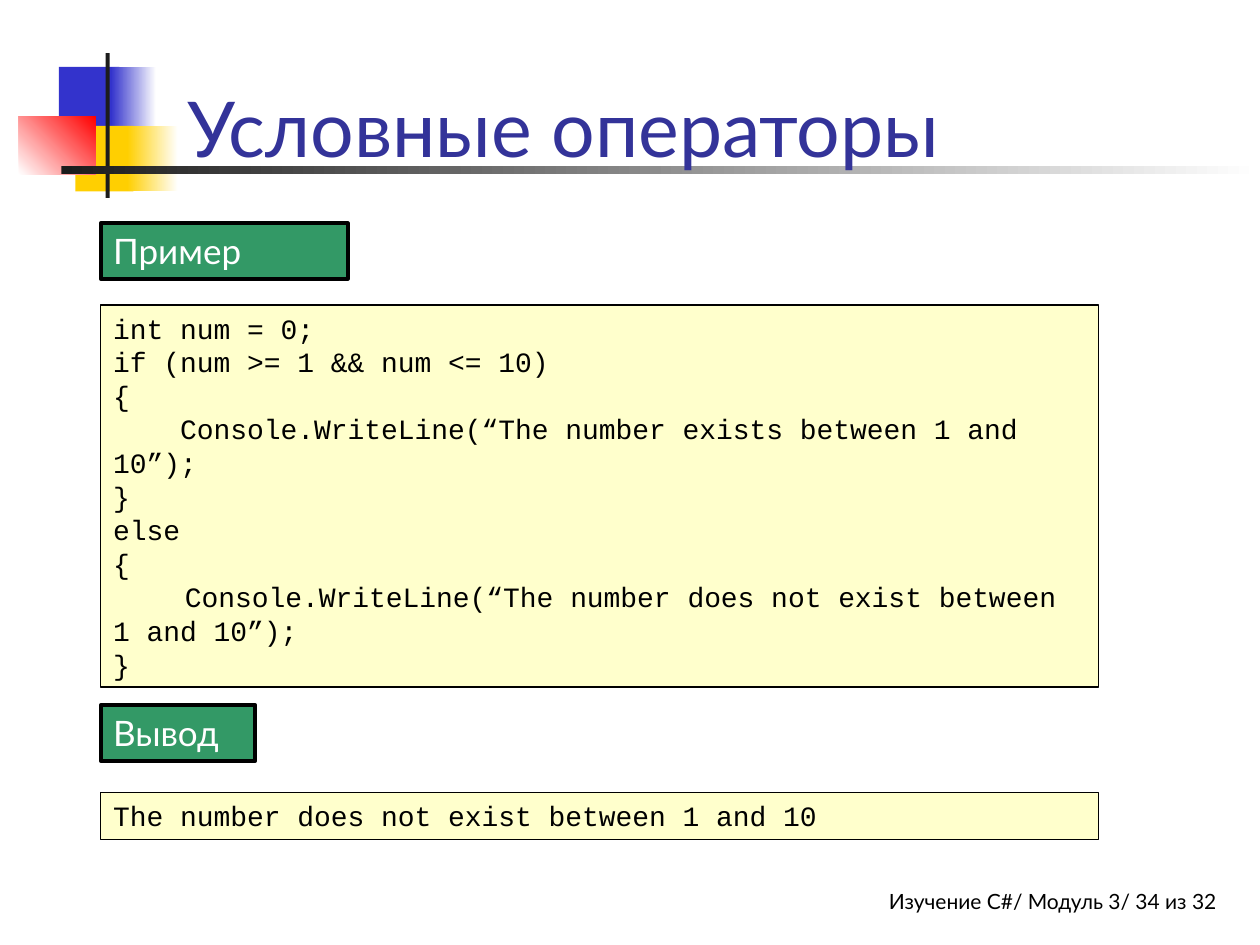
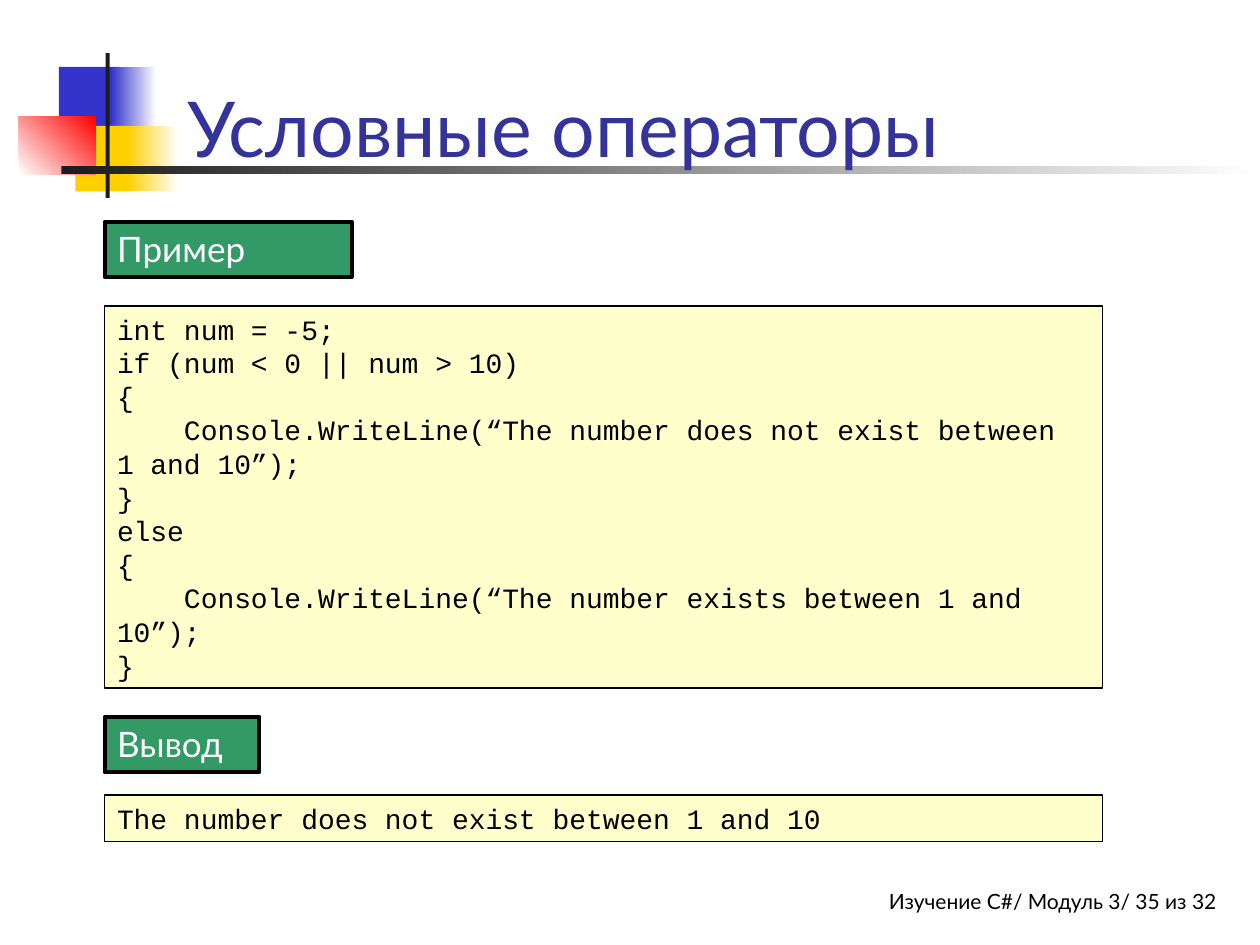
from dataclasses import dataclass

from lxml import etree
from pptx import Presentation
from pptx.dml.color import RGBColor
from pptx.enum.shapes import MSO_SHAPE
from pptx.enum.text import MSO_ANCHOR, MSO_AUTO_SIZE, PP_ALIGN
from pptx.oxml.ns import qn
from pptx.util import Cm, Pt

RECTANGLE = MSO_SHAPE.RECTANGLE
TOP, BOTTOM = MSO_ANCHOR.TOP, MSO_ANCHOR.BOTTOM
LEFT, RIGHT = PP_ALIGN.LEFT, PP_ALIGN.RIGHT
GROW, FIXED = MSO_AUTO_SIZE.SHAPE_TO_FIT_TEXT, MSO_AUTO_SIZE.NONE


@dataclass(frozen=True)
class TextStyle:
    font: str
    size: float
    color: str
    align: PP_ALIGN = LEFT
    tabs: tuple[float, ...] = ()


@dataclass(frozen=True)
class Theme:
    white: str = "FFFFFF"
    black: str = "000000"
    blue: str = "3333CC"
    yellow: str = "FFCF01"
    red: str = "FF0000"
    charcoal: str = "1C1C1C"
    label_fill: str = "339966"
    code_fill: str = "FFFFCC"
    label_border: float = 2.25
    code_border: float = 0.75
    title: TextStyle = TextStyle("Lato", 44, "333399")
    label: TextStyle = TextStyle("Lato", 20, "FFFFFF")
    footer: TextStyle = TextStyle("Lato", 12, "000000", RIGHT)
    code: TextStyle = TextStyle("Courier New", 16, "000000",
                                tabs=(1.45, *(2.54 * i for i in range(1, 7))))


THEME = Theme()


@dataclass(frozen=True)
class Box:
    """Left, top, width and height in centimetres."""
    left: float
    top: float
    width: float
    height: float

    def lengths(self) -> tuple[Cm, Cm, Cm, Cm]:
        return Cm(self.left), Cm(self.top), Cm(self.width), Cm(self.height)


@dataclass(frozen=True)
class Ornament:
    box: Box
    start: str
    end: str | None = None
    angle: float = 0


@dataclass(frozen=True)
class Example:
    number: int
    left: float
    label_tops: tuple[float, float]
    code_tops: tuple[float, float]
    code: tuple[str, ...]


# Shared decoration
ORNAMENTS = (
    Ornament(Box(1.19, 1.35, 1.22, 1.32), THEME.blue),
    Ornament(Box(2.24, 1.35, 0.91, 1.32), THEME.blue, THEME.white),
    Ornament(Box(1.52, 2.54, 1.17, 1.32), THEME.yellow),
    Ornament(Box(2.57, 2.54, 1.02, 1.32), THEME.yellow, THEME.white),
    Ornament(Box(0.38, 2.34, 1.55, 1.17), THEME.white, THEME.red, 45),
    Ornament(Box(2.13, 1.07, 0.08, 2.92), THEME.charcoal),
    Ornament(Box(1.24, 3.35, 24.16, 0.15), THEME.charcoal, THEME.white),
)
TITLE_BOX = Box(3.53, 0.43, 21.64, 3.18)
FOOTER_BOX = Box(11.63, 17.78, 12.9, 0.84)

# Panel sizes
EXAMPLE_WIDTH, OUTPUT_WIDTH, LABEL_HEIGHT = 4.98, 3.12, 1.12
CODE_WIDTH, CODE_HEIGHT, OUTPUT_HEIGHT = 20.12, 7.7, 0.94

OUTPUT = "The number does not exist between 1 and 10"

EXAMPLES = (
    Example(34, 2.03, (4.5, 14.22), (6.15, 15.98), (
        "int num = 0;",
        "if (num >= 1 && num <= 10)",
        "{",
        "    Console.WriteLine(“The number exists between 1 and \t10”);",
        "}",
        "else",
        "{",
        "\tConsole.WriteLine(“The number does not exist between \t1 and 10”);",
        "}",
    )),
    Example(35, 2.11, (4.47, 14.45), (6.17, 16.03), (
        "int num = -5;",
        "if (num < 0 || num > 10)",
        "{",
        "    Console.WriteLine(“The number does not exist between \t1 and 10”);",
        "}",
        "else",
        "{",
        "    Console.WriteLine(“The number exists between 1 and \t10”);",
        "}",
    )),
)


def rgb(color: str) -> RGBColor:
    return RGBColor.from_string(color)


def add_tabs(paragraph, stops: tuple[float, ...]) -> None:
    tab_list = etree.SubElement(paragraph._p.get_or_add_pPr(), qn("a:tabLst"))
    for stop in stops:
        etree.SubElement(tab_list, qn("a:tab"), pos=str(int(Cm(stop))), algn="l")


def write(shape, lines: tuple[str, ...], style: TextStyle, anchor=TOP,
          auto_size=GROW) -> None:
    frame = shape.text_frame
    frame.word_wrap = True
    frame.auto_size = auto_size
    frame.vertical_anchor = anchor
    for index, line in enumerate(lines):
        paragraph = frame.add_paragraph() if index else frame.paragraphs[0]
        paragraph.text = line
        paragraph.alignment = style.align
        if style.tabs:
            add_tabs(paragraph, style.tabs)
        paragraph.font.name = style.font
        paragraph.font.size = Pt(style.size)
        paragraph.font.color.rgb = rgb(style.color)


def add_rectangle(slide, box: Box):
    rectangle = slide.shapes.add_shape(RECTANGLE, *box.lengths())
    rectangle.shadow.inherit = False
    return rectangle


def draw_ornament(slide, ornament: Ornament) -> None:
    block = add_rectangle(slide, ornament.box)
    block.line.fill.background()
    if ornament.end is None:
        block.fill.solid()
        block.fill.fore_color.rgb = rgb(ornament.start)
        return
    block.fill.gradient()
    block.fill.gradient_angle = ornament.angle
    for stop, color in zip(block.fill.gradient_stops, (ornament.start, ornament.end)):
        stop.color.rgb = rgb(color)


def draw_panel(slide, box: Box, lines: tuple[str, ...], style: TextStyle,
               fill: str, border: float) -> None:
    panel = add_rectangle(slide, box)
    panel.fill.solid()
    panel.fill.fore_color.rgb = rgb(fill)
    panel.line.color.rgb = rgb(THEME.black)
    panel.line.width = Pt(border)
    write(panel, lines, style)


def draw_label(slide, box: Box, caption: str) -> None:
    draw_panel(slide, box, (caption,), THEME.label, THEME.label_fill, THEME.label_border)


def draw_code(slide, box: Box, lines: tuple[str, ...]) -> None:
    draw_panel(slide, box, lines, THEME.code, THEME.code_fill, THEME.code_border)


def draw_frame(slide, number: int) -> None:
    """Footer, ornaments and title common to every slide."""
    footer = slide.shapes.add_textbox(*FOOTER_BOX.lengths())
    write(footer, (f"Изучение C#/ Модуль 3/ {number} из 32",), THEME.footer)
    footer.text_frame.margin_right = 0
    for ornament in ORNAMENTS:
        draw_ornament(slide, ornament)
    title = slide.shapes.add_textbox(*TITLE_BOX.lengths())
    write(title, ("Условные операторы",), THEME.title, BOTTOM, FIXED)


def draw_example(slide, example: Example) -> None:
    left = example.left
    example_top, output_top = example.label_tops
    code_top, result_top = example.code_tops
    draw_label(slide, Box(left, example_top, EXAMPLE_WIDTH, LABEL_HEIGHT), "Пример")
    draw_code(slide, Box(left, code_top, CODE_WIDTH, CODE_HEIGHT), example.code)
    draw_label(slide, Box(left, output_top, OUTPUT_WIDTH, LABEL_HEIGHT), "Вывод")
    draw_code(slide, Box(left, result_top, CODE_WIDTH, OUTPUT_HEIGHT), (OUTPUT,))


def main() -> None:
    deck = Presentation()
    deck.slide_width, deck.slide_height = Cm(25.4), Cm(19.05)
    blank = deck.slide_layouts[6]
    for example in EXAMPLES:
        slide = deck.slides.add_slide(blank)
        draw_frame(slide, example.number)
        draw_example(slide, example)
    deck.save("out.pptx")


if __name__ == "__main__":
    main()
